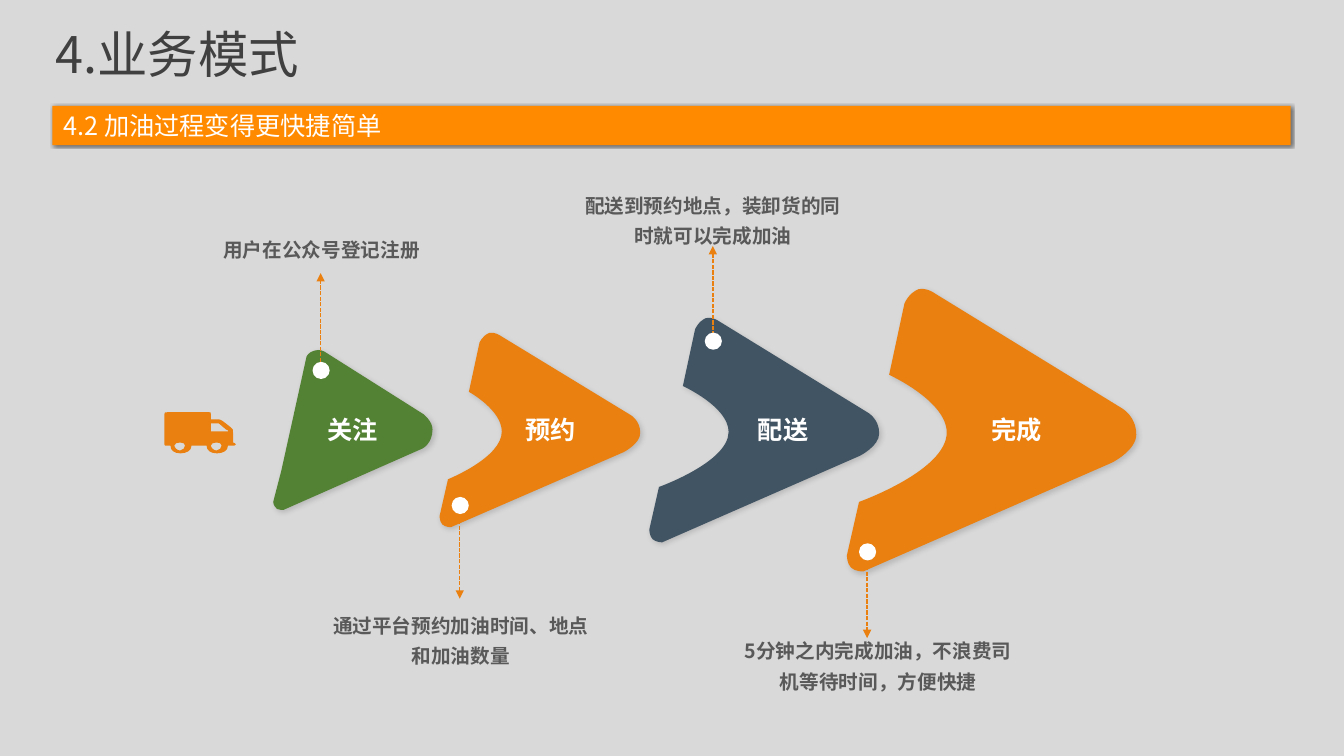
from lxml.etree import SubElement
from pptx import Presentation
from pptx.dml.color import RGBColor
from pptx.enum.dml import MSO_LINE_DASH_STYLE as DASH
from pptx.enum.shapes import MSO_CONNECTOR as CONN, MSO_SHAPE as SHAPE
from pptx.enum.text import MSO_ANCHOR as ANCHOR, MSO_AUTO_SIZE as FIT, PP_ALIGN as ALIGN
from pptx.oxml.ns import qn
from pptx.util import Inches, Pt

CJK, NARROW = "Noto Sans CJK SC", "Arial Narrow"
ORANGE, BAR, WHITE = "EA8010", "FF8A00", "FFFFFF"
TITLE = dict(size=Pt(36), name=CJK, bold=False)
SUBTITLE = dict(size=Pt(18), name=CJK)
LABEL = dict(size=Pt(18), name=CJK, bold=True)
CAPTION = dict(size=Pt(14), bold=True)

TRIANGLE = [
    (0.152, 0.306), (0.209, 0.05),
    (0.209, 0.05, 0.222, 0.019, 0.259, 0.012),
    (0.291, 0, 0.323, 0.019, 0.323, 0.019), (0.943, 0.406),
    (0.943, 0.406, 1, 0.45, 1, 0.5),
    (1, 0.588, 0.937, 0.619, 0.937, 0.619), (0.063, 1),
    (0.063, 1, 0.038, 1, 0.025, 0.994),
    (0, 0.975, 0, 0.95, 0, 0.95), (0.051, 0.756)]
TRUCK_BODY = [
    (0, 0.8), (0, 0.85, 0.056, 0.825, 0.085, 0.825),
    (0.085, 0.95, 0.14, 1.02, 0.225, 1.02), (0.31, 1.02, 0.38, 0.95, 0.38, 0.825),
    (0.59, 0.825), (0.59, 0.95, 0.65, 1.02, 0.735, 1.02),
    (0.82, 1.02, 0.89, 0.95, 0.89, 0.825), (0.915, 0.825),
    (0.96, 0.825, 1, 0.85, 1, 0.8), (1, 0.775, 0.97, 0.75, 0.96, 0.75),
    (0.96, 0.5), (0.96, 0.45, 0.96, 0.4, 0.93, 0.375), (0.82, 0.225),
    (0.8, 0.2, 0.775, 0.175, 0.76, 0.175), (0.65, 0.175), (0.65, 0.05),
    (0.65, 0, 0.65, 0, 0.63, 0), (0.04, 0), (0.01, 0, 0, 0, 0, 0.05)]
TRUCK_WINDOW = [(0.65, 0.475), (0.65, 0.275), (0.76, 0.275),
                (0.86, 0.425), (0.89, 0.45), (0.89, 0.475)]


def rgb(value):
    """Turn a hex string into a colour."""
    return RGBColor.from_string(value)


def chevron(notch):
    """Outline of a chevron whose notch reaches the given share of its width."""
    return [
        (1, 0.518), (1, 0.574, 0.916, 0.617, 0.916, 0.617), (0.056, 1),
        (0.056, 1, 0.028, 1, 0.014, 0.986),
        (0, 0.972, 0, 0.943, 0, 0.943), (0.042, 0.755),
        (0.042, 0.755, notch, 0.645, notch, 0.511),
        (notch, 0.4, 0.146, 0.308, 0.146, 0.308), (0.199, 0.057),
        (0.199, 0.057, 0.213, 0.021, 0.247, 0.007),
        (0.275, 0, 0.303, 0.021, 0.303, 0.021), (0.951, 0.426),
        (0.951, 0.426, 1, 0.454, 1, 0.518)]


def wheel(x):
    """Outline of a wheel opening centred on x."""
    return [(x, 0.75), (x + 0.04, 0.75, x + 0.07, 0.775, x + 0.07, 0.825),
            (x + 0.07, 0.875, x + 0.04, 0.95, x, 0.95),
            (x - 0.04, 0.95, x - 0.08, 0.875, x - 0.08, 0.825),
            (x - 0.08, 0.775, x - 0.04, 0.75, x, 0.75)]


def paint(s, color):
    """Give a shape a plain fill without line or shadow."""
    s.shadow.inherit = False
    s.fill.solid()
    s.fill.fore_color.rgb = rgb(color)
    s.line.fill.background()


def add_shadow(s, alpha, blur, dist):
    """Cast a black shadow to the lower right."""
    effects = s._element.spPr.find(qn("a:effectLst"))
    outer = SubElement(effects, qn("a:outerShdw"), blurRad=str(Pt(blur)),
                       dist=str(Pt(dist)), dir="2700000", algn="tl", rotWithShape="0")
    black = SubElement(outer, qn("a:srgbClr"), val="000000")
    SubElement(black, qn("a:alpha"), val=str(alpha * 1000))


def write(s, text, style, color, align=ALIGN.LEFT, spacing=None, insets=None,
          anchor=ANCHOR.TOP, fit=FIT.NONE):
    """Set the only paragraph of a shape."""
    tf = s.text_frame
    tf.word_wrap, tf.vertical_anchor, tf.auto_size = True, anchor, fit
    for side, inset in (insets or {}).items():
        setattr(tf, "margin_" + side, Inches(inset))
    p = tf.paragraphs[0]
    p.alignment, p.line_spacing = align, spacing
    r = p.add_run()
    r.text = text
    for key, value in style.items():
        setattr(r.font, key, value)
    r.font.color.rgb = rgb(color)
    SubElement(r._r.get_or_add_rPr(), qn("a:ea"), typeface=CJK)


def add_outline(slide, box, outlines, color):
    """Draw outlines of lines and curves given as shares of the box."""
    x, y, w, h = map(Inches, box)
    builder = slide.shapes.build_freeform(x, y, scale=1.0)
    builder.add_line_segments([(x + w, y), (x + w, y + h)])
    s = builder.convert_to_shape()
    path = s._element.find(".//" + qn("a:path"))
    for child in list(path):
        path.remove(child)
    s.left, s.top, s.width, s.height = x, y, w, h
    path.set("w", str(w))
    path.set("h", str(h))
    for outline in outlines:
        for i, seg in enumerate(outline):
            tag = "a:moveTo" if i == 0 else "a:lnTo" if len(seg) == 2 else "a:cubicBezTo"
            node = SubElement(path, qn(tag))
            for px, py in zip(seg[::2], seg[1::2]):
                SubElement(node, qn("a:pt"), x=str(round(px * w)), y=str(round(py * h)))
        SubElement(path, qn("a:close"))
    paint(s, color)
    return s


def add_heading(slide, box):
    """Place the title and the subtitle bar."""
    x, y, w, h = box
    flat = dict.fromkeys(("left", "top", "right", "bottom"), 0)
    bar = slide.shapes.add_shape(SHAPE.RECTANGLE, *map(Inches, (x, y + 0.7, w, 0.39)))
    paint(bar, BAR)
    add_shadow(bar, 50, 2, 1)
    title = slide.shapes.title
    title.left, title.top, title.width, title.height = map(Inches, (x + 0.03, y, w - 0.02, h))
    write(title, "4.业务模式", TITLE, "404040", spacing=0.8, insets=flat)
    sub = slide.shapes.add_textbox(*map(Inches, (x + 0.11, y + 0.74, w - 0.59, 0.3)))
    write(sub, "4.2 加油过程变得更快捷简单", SUBTITLE, WHITE, insets=flat, fit=FIT.SHAPE_TO_FIT_TEXT)


def add_step(slide, box, outline, color, label, inset):
    """Draw one labelled step of the process."""
    s = add_outline(slide, box, [outline], color)
    add_shadow(s, 15, 4, 2)
    write(s, label, LABEL, WHITE, ALIGN.CENTER, insets=dict(left=inset), anchor=ANCHOR.MIDDLE)


def add_note(slide, box, pin, reach, dot_shift, caption, note, height, font):
    """Pin a dashed arrow and its caption to a step box."""
    x, y = box[0] + pin[0], box[1] + pin[1]
    line = slide.shapes.add_connector(CONN.STRAIGHT, *map(Inches, (x, y, x, y + reach)))
    line.line.color.rgb = rgb(ORANGE)
    line.line.width = Pt(1)
    line.line.dash_style = DASH.SQUARE_DOT
    SubElement(line.line._get_or_add_ln(), qn("a:tailEnd"), type="triangle")
    SubElement(line._element.spPr, qn("a:effectLst"))
    dot = slide.shapes.add_shape(SHAPE.OVAL, *map(Inches, (x - 0.08, y + dot_shift, 0.17, 0.17)))
    paint(dot, WHITE)
    tb = slide.shapes.add_textbox(
        *map(Inches, (box[0] + caption[0], box[1] + caption[1], 2.92, height)))
    write(tb, note, dict(CAPTION, name=font), "595959", ALIGN.CENTER, 1.3,
          fit=FIT.SHAPE_TO_FIT_TEXT)


def add_process(slide):
    """Draw the truck and the four growing steps."""
    add_outline(slide, (1.63, 4.09, 0.71, 0.4),
                [TRUCK_BODY, TRUCK_WINDOW, wheel(0.73), wheel(0.22)], ORANGE)
    steps = [
        ((2.71, 3.46, 1.58, 1.6), TRIANGLE, "548235", "关注", 0.1,
         (0.47, 0.13), -0.88, 0, (-0.98, -1.22), "用户在公众号登记注册", 0.38, NARROW),
        ((4.36, 3.29, 1.99, 1.94), chevron(0.31), ORANGE, "预约", 0.31,
         (0.2, 1.76), 0.89, -0.12, (-1.25, 2.68),
         "通过平台预约加油时间、地点和加油数量", 0.68, NARROW),
        ((6.44, 3.14, 2.28, 2.24), chevron(0.345), "415463", "配送", 0.47,
         (0.63, 0.19), -0.89, -0.03, (-0.83, -1.34),
         "配送到预约地点，装卸货的同时就可以完成加油", 0.68, NARROW),
        ((8.4, 2.85, 2.87, 2.82), chevron(0.345), ORANGE, "完成", 0.59,
         (0.2, 2.6), 0.88, -0.06, (-1.15, 3.37),
         "5分钟之内完成加油，不浪费司机等待时间，方便快捷", 0.71, CJK)]
    for step in steps:
        add_step(slide, *step[:5])
    for step in steps:
        add_note(slide, step[0], *step[5:])


def main():
    """Build the slide and save it."""
    prs = Presentation()
    prs.slide_width, prs.slide_height = Inches(13.33), Inches(7.5)
    slide = prs.slides.add_slide(prs.slide_layouts[5])
    slide.background.fill.solid()
    slide.background.fill.fore_color.rgb = rgb("D9D9D9")
    add_heading(slide, (0.52, 0.35, 12.28, 1.1))
    add_process(slide)
    prs.save("out.pptx")


if __name__ == "__main__":
    main()
